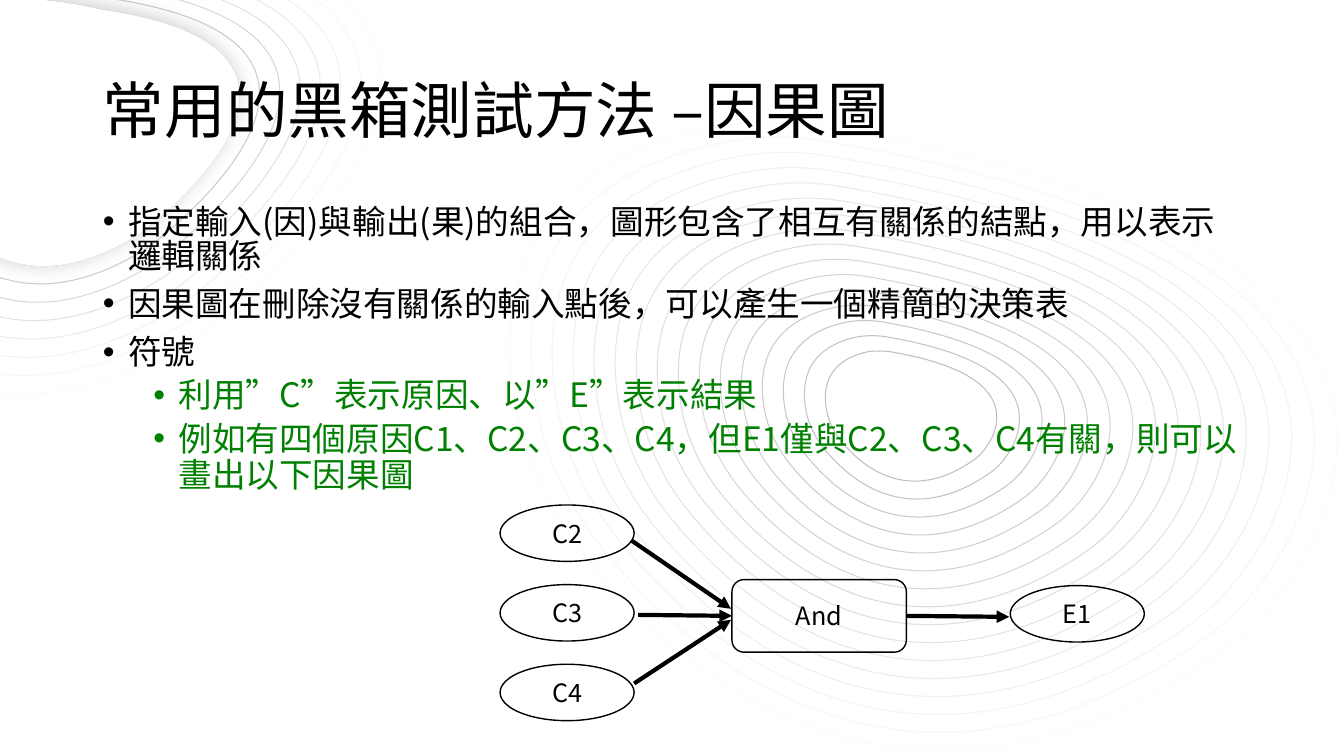
import pptx
import pptx.dml.color
import pptx.enum.shapes
import pptx.enum.text
import pptx.oxml
import pptx.oxml.ns
import pptx.util
from lxml import etree

Inches = pptx.util.Inches
Pt = pptx.util.Pt
qn = pptx.oxml.ns.qn
FONT = "Noto Sans CJK SC"
BLACK, GREEN, WHITE = "000000", "008000", "FFFFFF"
CORNER_BOX = (-3, -1, 6, 5)
CORNER_OUTER = [(4.3, 0.12), (4.3, 0.12), (-0.6, -1.14), (0.33, 2.45), (0.33, 2.45),
                (1.61, 6.66), (5.06, 4.45), (5.06, 4.45), (9.86, 0.9), (4.3, 0.12)]
CORNER_INNER = [(4, 1.1), (4, 1.1), (1.5, 0.45), (1.97, 2.29), (1.97, 2.29),
                (2.63, 4.43), (4.39, 3.31), (4.39, 3.31), (6.84, 1.5), (4, 1.1)]
HILL_BOX = (5, 1, 8.33, 6.5)
HILL_INNER = [(3.61, 2.49), (3.42, 2.53), (3.12, 2.65), (3.2, 3.08), (3.22, 3.18), (3.27, 3.28),
              (3.33, 3.36), (3.51, 3.59), (3.97, 4.02), (4.62, 3.59), (4.72, 3.53), (4.79, 3.44),
              (4.84, 3.34), (4.95, 3.09), (4.95, 2.68), (3.83, 2.49), (3.76, 2.48), (3.68, 2.48),
              (3.61, 2.49)]
HILL_OUTER = [(2.11, 0.26), (1.19, 0.42), (-0.28, 1.01), (0.13, 3.1), (0.23, 3.59), (0.45, 4.06),
              (0.76, 4.46), (1.64, 5.57), (3.85, 7.64), (7, 5.54), (7.45, 5.24), (7.81, 4.82),
              (8.04, 4.32), (8.57, 3.16), (8.55, 1.18), (3.19, 0.26), (2.83, 0.19), (2.47, 0.19),
              (2.11, 0.26)]
POINTS = [
    ("指定輸入(因)與輸出(果)的組合，圖形包含了相互有關係的結點，用以表示邏輯關係", 0),
    ("因果圖在刪除沒有關係的輸入點後，可以產生一個精簡的決策表", 0),
    ("符號", 0),
    ("利用”C”表示原因、以”E”表示結果", 1),
    ("例如有四個原因C1、C2、C3、C4，但E1僅與C2、C3、C4有關，則可以畫出以下因果圖", 1),
]


def color(hex_string):
    """Return the colour for a hex string."""
    return pptx.dml.color.RGBColor.from_string(hex_string)


def gray(level):
    """Return the hex string of a gray level."""
    return f"{round(level):02X}" * 3


def write(para, text, size=18, fill=BLACK, align=pptx.enum.text.PP_ALIGN.LEFT, spacing=None, before=0):
    """Add one formatted span to a paragraph."""
    para.alignment = align
    para.line_spacing = spacing
    para.space_before = Pt(before)
    span = para.add_run()
    span.text = text
    span.font.size = Pt(size)
    span.font.color.rgb = color(fill)
    span.font.name = FONT
    etree.SubElement(span._r.get_or_add_rPr(), qn("a:ea"), typeface=FONT)


def blend(inner, outer, share):
    """Return the control points that lie a share of the way from inner to outer."""
    return [(a + (c - a) * share, b + (d - b) * share) for (a, b), (c, d) in zip(inner, outer)]


def bend(contour):
    """Turn each three line segments of a freeform into one cubic curve."""
    segments = list(contour.element.iter(qn("a:lnTo")))
    for first, second, third in zip(segments[::3], segments[1::3], segments[2::3]):
        first.tag = qn("a:cubicBezTo")
        for segment in (second, third):
            first.append(segment[0])
            segment.getparent().remove(segment)


def add_contour(page, box, controls, line, fill=None, alpha=100, shadow=None):
    """Draw one closed contour inside the box."""
    points = [(Inches(box[0] + x), Inches(box[1] + y)) for x, y in controls]
    builder = page.shapes.build_freeform(*points[0], scale=1.0)
    builder.add_line_segments(points[1:], close=True)
    contour = builder.convert_to_shape()
    bend(contour)
    contour.shadow.inherit = False
    if fill:
        contour.fill.solid()
        contour.fill.fore_color.rgb = color(fill)
    else:
        contour.fill.background()
    contour.line.color.rgb = color(line)
    contour.line.width = Pt(0.75)
    if alpha < 100:
        tint = contour.element.find(f".//{qn('a:ln')}//{qn('a:srgbClr')}")
        etree.SubElement(tint, qn("a:alpha"), val=str(round(alpha * 1000)))
    if shadow:
        shade, opacity, blur, distance, angle = shadow
        effects = contour.element.find(f".//{qn('a:effectLst')}")
        outer = etree.SubElement(effects, qn("a:outerShdw"), blurRad=str(Pt(blur)), dist=str(Pt(distance)),
                                 dir=str(angle * 60000), algn="ctr", rotWithShape="0")
        tint = etree.SubElement(outer, qn("a:srgbClr"), val=shade)
        etree.SubElement(tint, qn("a:alpha"), val=str(opacity * 1000))


def add_corner(page, box, rings=9):
    """Draw the fading contours of the upper left corner and their white centre."""
    for ring in reversed(range(rings)):
        share = ring / (rings - 1)
        add_contour(page, box, blend(CORNER_INNER, CORNER_OUTER, share), gray(191 + 57 * share),
                    alpha=100 * (rings - ring) / rings, shadow=("323232", 10, 50, 0, 0))
    add_contour(page, box, CORNER_INNER, WHITE, fill=WHITE, shadow=(BLACK, 20, 15, 3, 225))


def add_hill(page, box, rings=16):
    """Draw the contours on the right."""
    for ring in range(rings):
        add_contour(page, box, blend(HILL_INNER, HILL_OUTER, ring / (rings - 1)), gray(191 + 4 * ring))


def place(holder, box, anchor):
    """Move a placeholder to the box, in front of what is drawn, and return its text frame."""
    holder.left, holder.top, holder.width, holder.height = map(Inches, box)
    holder.element.getparent().append(holder.element)
    frame = holder.text_frame
    frame.auto_size = pptx.enum.text.MSO_AUTO_SIZE.NONE
    frame.word_wrap = True
    frame.vertical_anchor = anchor
    return frame


def add_title(page, box):
    """Fill the title."""
    frame = place(page.shapes.title, box, pptx.enum.text.MSO_ANCHOR.MIDDLE)
    write(frame.paragraphs[0], "常用的黑箱測試方法 –因果圖", size=44, spacing=0.9)


def add_points(page, box):
    """Fill the bulleted list."""
    frame = place(page.placeholders[1], box, pptx.enum.text.MSO_ANCHOR.TOP)
    for index, (text, level) in enumerate(POINTS):
        para = frame.add_paragraph() if index else frame.paragraphs[0]
        para.level = level
        props = para._p.get_or_add_pPr()
        props.set("marL", str(Inches(0.25 + 0.5 * level)))
        props.set("indent", str(Inches(-0.25)))
        etree.SubElement(props, qn("a:buFont"), typeface="Arial")
        etree.SubElement(props, qn("a:buChar"), char="•")
        before = (5 if level else 10) if index else 0
        write(para, text, size=24, fill=GREEN if level else BLACK,
              spacing=0.9 if level else 0.85, before=before)


def add_node(page, kind, text, left, top, width=1.33, height=0.56):
    """Draw one outlined node of the graph."""
    node = page.shapes.add_shape(kind, *map(Inches, (left, top, width, height)))
    node.shadow.inherit = False
    node.fill.background()
    node.line.color.rgb = color(BLACK)
    node.line.width = Pt(1)
    frame = node.text_frame
    frame.word_wrap = False
    frame.vertical_anchor = pptx.enum.text.MSO_ANCHOR.MIDDLE
    frame.margin_left = frame.margin_right = Inches(0.16)
    frame.margin_top = frame.margin_bottom = Inches(0.08)
    write(frame.paragraphs[0], text, align=pptx.enum.text.PP_ALIGN.CENTER)
    return node


def add_arrow(page, *ends):
    """Draw one thick arrow."""
    arrow = page.shapes.add_connector(pptx.enum.shapes.MSO_CONNECTOR.STRAIGHT, *map(Inches, ends))
    arrow.line.color.rgb = color(BLACK)
    arrow.line.width = Pt(3)
    etree.SubElement(arrow.element.find(f".//{qn('a:ln')}"), qn("a:tailEnd"), type="triangle")
    etree.SubElement(arrow.element.spPr, qn("a:effectLst"))
    return arrow


def add_graph(page, box):
    """Draw the cause-effect graph in the box."""
    left, top = box[:2]
    kinds = pptx.enum.shapes.MSO_SHAPE
    for row, cause in enumerate(("C2", "C3", "C4")):
        add_node(page, kinds.OVAL, cause, left, top + 0.79 * row)
    gate = add_node(page, kinds.ROUNDED_RECTANGLE, "And", left + 2.3, top + 0.74, 1.73, 0.72)
    add_node(page, kinds.OVAL, "E1", left + 5.06, top + 0.8)
    add_arrow(page, left + 1.3, top + 0.35, left + 2.29, top + 1.03)
    add_arrow(page, left + 1.37, top + 1.09, left + 2.3, top + 1.1).end_connect(gate, 1)
    add_arrow(page, left + 1.33, top + 1.77, left + 2.29, top + 1.14)
    add_arrow(page, left + 4.03, top + 1.1, left + 5.05, top + 1.11).begin_connect(gate, 3)


def main():
    """Build and save the deck."""
    deck = pptx.Presentation()
    deck.slide_width, deck.slide_height = Inches(13.33), Inches(7.5)
    page = deck.slides.add_slide(deck.slide_layouts[1])
    add_corner(page, CORNER_BOX)
    add_hill(page, HILL_BOX)
    add_title(page, (0.92, 0.4, 11.5, 1.45))
    add_points(page, (0.92, 2, 11.5, 4.76))
    add_graph(page, (4.96, 5.01, 6.39, 2.14))
    deck.save("out.pptx")


if __name__ == "__main__":
    main()
